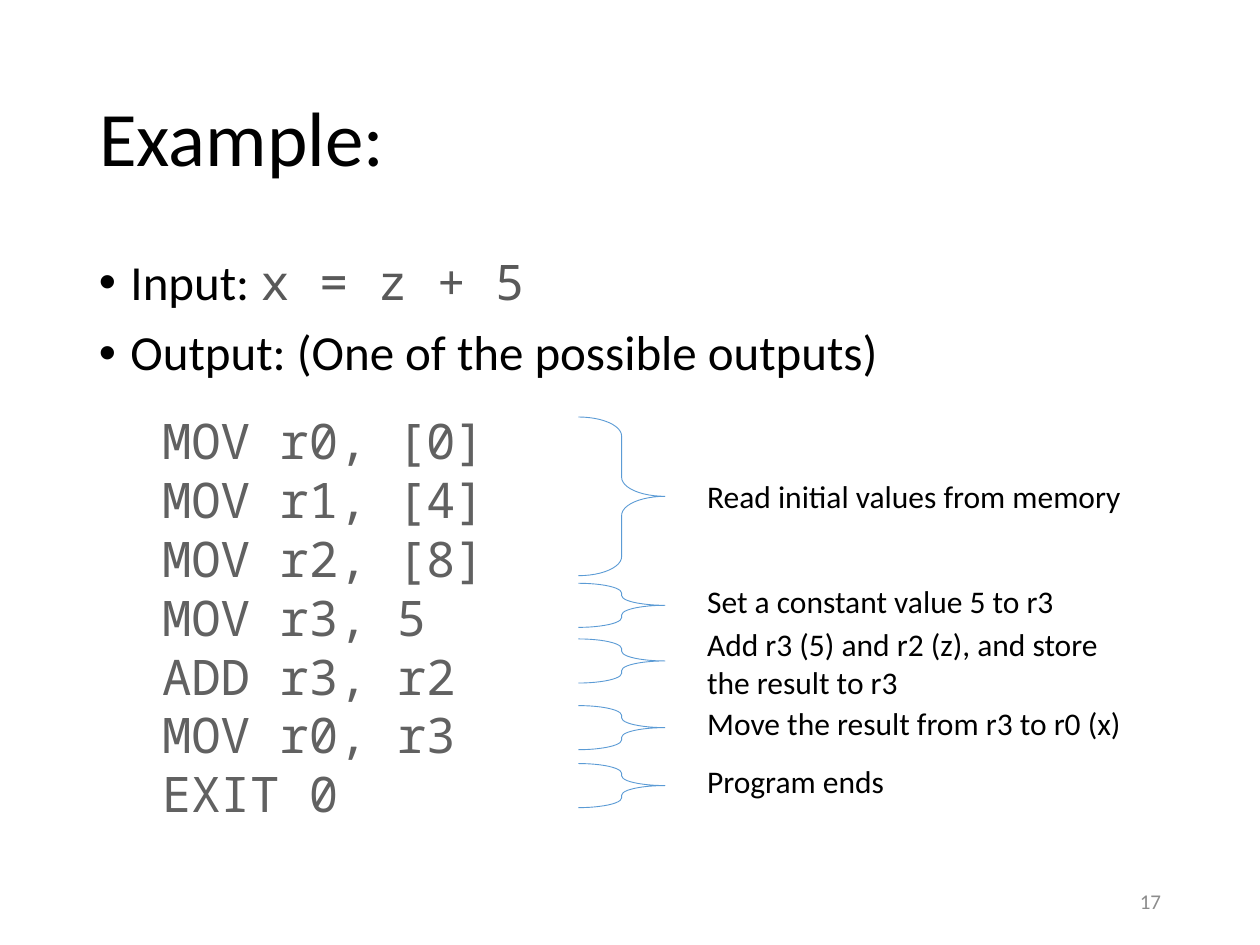
import dataclasses

import pptx
import pptx.dml.color
import pptx.enum.shapes
import pptx.enum.text
import pptx.oxml
import pptx.util

Pt = pptx.util.Pt
ALIGN = pptx.enum.text.PP_ALIGN
ANCHOR = pptx.enum.text.MSO_ANCHOR


@dataclasses.dataclass(frozen=True)
class Theme:
    """Fonts, colours and type sizes of the slide."""
    font: str = "Calibri"
    mono: str = "Noto Sans Mono"
    text: str = "000000"
    formula: str = "595959"
    code: str = "616161"
    number: str = "8C8C8C"
    brace: str = "5B9BD5"
    title_size: int = 44
    body_size: int = 28
    note_size: int = 18
    number_size: int = 12


THEME = Theme()


def format_runs(p, size, color=THEME.text, font=THEME.font):
    """Give every run of a paragraph one font, size and colour."""
    for r in p.runs:
        r.font.name, r.font.size = font, Pt(size)
        r.font.color.rgb = pptx.dml.color.RGBColor.from_string(color)


def add_text(s, box, wrap=True):
    """Add a text box and return its text frame."""
    tf = s.shapes.add_textbox(*map(Pt, box)).text_frame
    tf.word_wrap = wrap
    return tf


def set_indent(p, left, first=0):
    """Set the left margin and first-line indent in points."""
    pPr = p._p.get_or_add_pPr()
    pPr.set("marL", str(Pt(left)))
    pPr.set("indent", str(Pt(first)))
    return pPr


def place_title(s, box, text):
    """Move the title placeholder into the box and fill it."""
    sp = s.shapes.title
    sp.left, sp.top, sp.width, sp.height = map(Pt, box)
    tf = sp.text_frame
    tf.text = text
    tf.vertical_anchor = ANCHOR.MIDDLE
    p = tf.paragraphs[0]
    p.alignment, p.line_spacing = ALIGN.LEFT, 0.9
    format_runs(p, THEME.title_size)


def place_bullets(s, box, items):
    """Add bullets, each a label with an optional formula."""
    tf = add_text(s, box)
    tf.text = "\n".join(label for label, _ in items)
    for p, (_, formula) in zip(tf.paragraphs, items):
        p.line_spacing, p.space_before = 0.9, Pt(10)
        pPr = set_indent(p, 18, -18)
        for tag, attr, value in (("a:buFont", "typeface", "Arial"),
                                 ("a:buChar", "char", "•")):
            pptx.oxml.ns.qn(tag)
            bullet = pptx.oxml.xmlchemy.OxmlElement(tag)
            bullet.set(attr, value)
            pPr.append(bullet)
        format_runs(p, THEME.body_size)
        if formula:
            r = p.add_run()
            r.text = formula
            r.font.name, r.font.size = THEME.mono, Pt(THEME.body_size)
            r.font.color.rgb = pptx.dml.color.RGBColor.from_string(THEME.formula)


def place_code(s, box, lines):
    """Add the code listing, one paragraph a line."""
    tf = add_text(s, box)
    tf.text = "\n".join(lines)
    for p in tf.paragraphs:
        set_indent(p, 36)
        format_runs(p, THEME.body_size, THEME.code, THEME.mono)


def place_notes(s, box, notes):
    """Add a brace and a note for each group of code lines."""
    left, top = box
    for brace_top, brace_height, note_top, width, height, text in notes:
        sp = s.shapes.add_shape(
            pptx.enum.shapes.MSO_SHAPE.RIGHT_BRACE,
            Pt(left), Pt(top + brace_top), Pt(49.5), Pt(brace_height))
        sp.adjustments[0], sp.adjustments[1] = 0.22, 0.5
        sp.shadow.inherit = False
        sp.fill.background()
        sp.line.color.rgb = pptx.dml.color.RGBColor.from_string(THEME.brace)
        sp.line.width = Pt(0.5)
        tf = add_text(s, (left + 66.5, top + note_top, width, height), wrap=False)
        p = tf.paragraphs[0]
        p.text = text
        format_runs(p, THEME.note_size)


def place_number(s, box, text):
    """Add the slide number at the right of the box."""
    tf = add_text(s, box)
    tf.text = text
    tf.vertical_anchor = ANCHOR.MIDDLE
    p = tf.paragraphs[0]
    p.alignment = ALIGN.RIGHT
    format_runs(p, THEME.number_size, THEME.number)


def build_example(prs):
    """Build the compiler example slide."""
    s = prs.slides.add_slide(prs.slide_layouts[5])
    place_title(s, (49.5, 28.8, 621, 104.4), "Example: ")
    place_bullets(s, (49.5, 144, 621, 342.6), [
        ("Input: ", "x = z + 5"),
        ("Output: (One of the possible outputs)", None)])
    place_code(s, (49.5, 231.2, 265, 244.8), [
        "MOV r0, [0]", "MOV r1, [4]", "MOV r2, [8]", "MOV r3, 5",
        "ADD r3, r2", "MOV r0, r3", "EXIT 0"])
    # Brace top and height, then note top, width, height and text
    place_notes(s, (330.5, 238.3), [
        (0, 90.7, 31, 253.4, 29, "Read initial values from memory"),
        (95, 25.2, 90.7, 215.3, 29, "Set a constant value 5 to r3"),
        (126.8, 25.2, 115.2, 244.8, 51,
         "Add r3 (5) and r2 (z), and store \vthe result to r3"),
        (164.9, 25.2, 160.6, 253.4, 29, "Move the result from r3 to r0 (x)"),
        (198, 25.2, 193.7, 116.6, 29, "Program ends")])
    place_number(s, (508.5, 500.5, 162, 28.8), "17")


prs = pptx.Presentation()
prs.slide_width, prs.slide_height = Pt(720), Pt(540)
build_example(prs)
prs.save("out.pptx")
